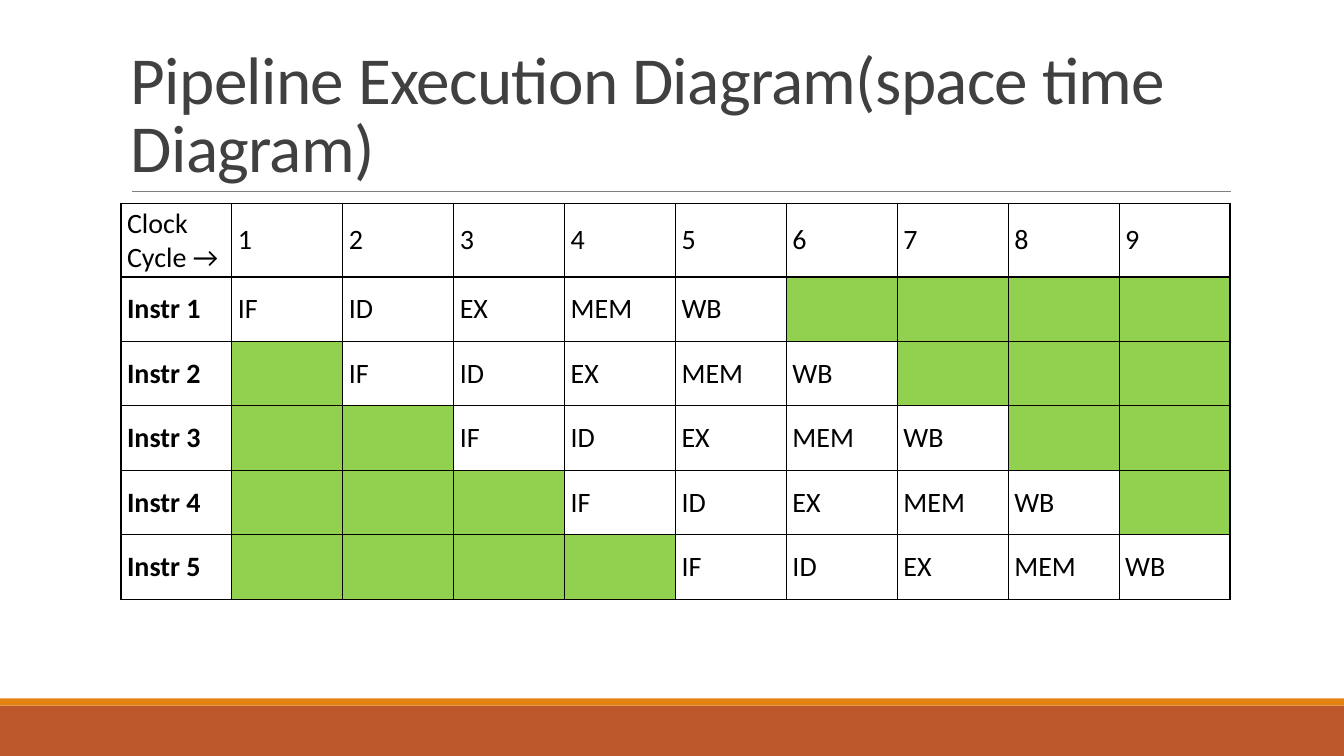
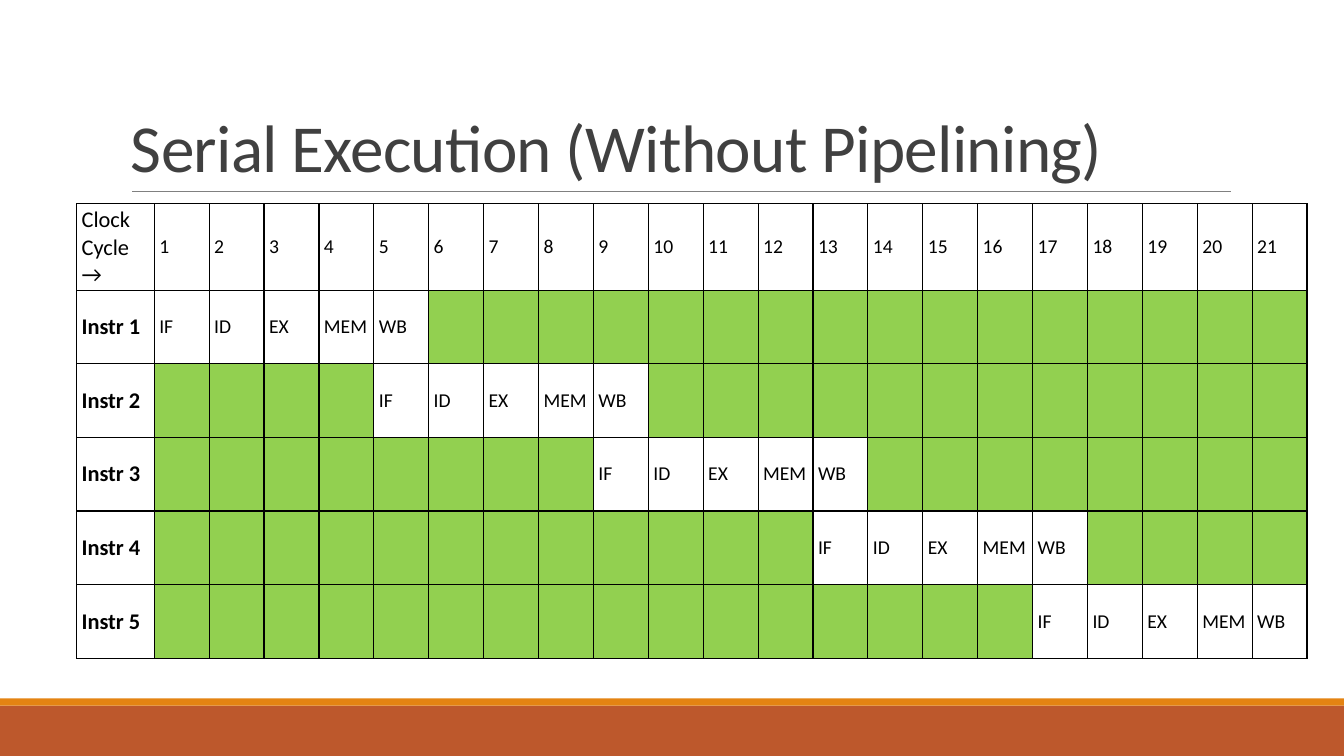
from lxml import etree
from pptx import Presentation
from pptx import util as u
from pptx.dml.color import RGBColor
from pptx.enum import shapes, text
from pptx.oxml import ns

SCALE = 9144
WIDE, HIGH = 1333, 750
FACE = "Calibri"
RUST = RGBColor(0xBD, 0x58, 0x2C)
AMBER = RGBColor(0xE4, 0x83, 0x12)
GRAY = RGBColor(0x80, 0x80, 0x80)
DARK = RGBColor(0x40, 0x40, 0x40)
BLACK = RGBColor(0, 0, 0)
WHITE = RGBColor(0xFF, 0xFF, 0xFF)
GREEN = RGBColor(0x92, 0xD0, 0x50)

STAGES = ["IF", "ID", "EX", "MEM", "WB"]
COUNT = 5
BANDS = [((0, 700, WIDE, 50), RUST), ((0, 693, WIDE, 7), AMBER)]
TITLE = (120, 31, 1100, 159)
CHARTS = [
    dict(title="Pipeline Execution Diagram(space time Diagram)",
         box=(120, 202, 1100, 384), head=110, step=1, pad=6, big=20, small=20),
    dict(title="Serial Execution (Without Pipelining)",
         box=(76, 202, 1221, 438), head=77, step=4, pad=5, big=16, small=14),
]


def px(*nums):
    return [u.Emu(round(n * SCALE)) for n in nums]


def style(item, look):
    for name, value in look.items():
        setattr(item, name, value)


def paint(font, size, color, bold=False):
    style(font, dict(name=FACE, size=u.Pt(size), bold=bold))
    font.color.rgb = color


def band(slide, box, color):
    bar = slide.shapes.add_shape(shapes.MSO_SHAPE.RECTANGLE, *px(*box))
    bar.shadow.inherit = False
    bar.fill.solid()
    bar.fill.fore_color.rgb = color
    bar.line.fill.background()


def rule(slide, left, top, width):
    line = slide.shapes.add_connector(
        shapes.MSO_CONNECTOR.STRAIGHT, *px(left, top, left + width, top))
    line.line.color.rgb = GRAY
    line.line.width = u.Pt(0.5)
    etree.SubElement(line._element.spPr, ns.qn("a:effectLst"))


def title(slide, box, words):
    frame = slide.shapes.add_textbox(*px(*box)).text_frame
    style(frame, dict(word_wrap=True, vertical_anchor=text.MSO_ANCHOR.BOTTOM))
    para = frame.paragraphs[0]
    para.line_spacing = 0.85
    run = para.add_run()
    run.text = words
    paint(run.font, 48, DARK)
    run.font._element.set("spc", "-50")


def border(cell):
    props = cell._tc.get_or_add_tcPr()
    for spot, side in enumerate(["lnL", "lnR", "lnT", "lnB"]):
        line = etree.Element(ns.qn("a:" + side), w=str(u.Pt(1)))
        fill = etree.SubElement(line, ns.qn("a:solidFill"))
        etree.SubElement(fill, ns.qn("a:srgbClr"), val=str(BLACK))
        props.insert(spot, line)


def entry(row, col, step):
    if row == 0:
        return str(col) if col else "Clock Cycle →"
    if col == 0:
        return f"Instr {row}"
    stage = col - 1 - (row - 1) * step
    return STAGES[stage] if 0 <= stage < len(STAGES) else ""


def grid(slide, box, head, step, pad, big, small):
    left, top, width, height = box
    cycles = len(STAGES) + (COUNT - 1) * step
    table = slide.shapes.add_table(COUNT + 1, cycles + 1, *px(*box)).table
    style(table, dict(first_row=False, horz_banding=False))
    for line in table.rows:
        line.height = px(height / (COUNT + 1))[0]
    for col, line in enumerate(table.columns):
        line.width = px((width - head) / cycles if col else head)[0]
    side, edge = px(pad, 3)
    look = dict(margin_left=side, margin_right=side, margin_top=edge,
                margin_bottom=edge, vertical_anchor=text.MSO_ANCHOR.MIDDLE)
    for row in range(COUNT + 1):
        for col in range(cycles + 1):
            cell = table.cell(row, col)
            words = entry(row, col, step)
            style(cell, look)
            cell.fill.solid()
            cell.fill.fore_color.rgb = WHITE if words else GREEN
            border(cell)
            if words:
                cell.text = words
                run = cell.text_frame.paragraphs[0].runs[0]
                paint(run.font, small if col else big, BLACK,
                      row > 0 and col == 0)


def page(deck, chart):
    slide = deck.slides.add_slide(deck.slide_layouts[6])
    for box, color in BANDS:
        band(slide, box, color)
    rule(slide, 131, 190, 1090)
    title(slide, TITLE, chart["title"])
    grid(slide, **{key: value for key, value in chart.items()
                   if key != "title"})


def main():
    deck = Presentation()
    deck.slide_width, deck.slide_height = px(WIDE, HIGH)
    for chart in CHARTS:
        page(deck, chart)
    deck.save("out.pptx")


if __name__ == "__main__":
    main()
